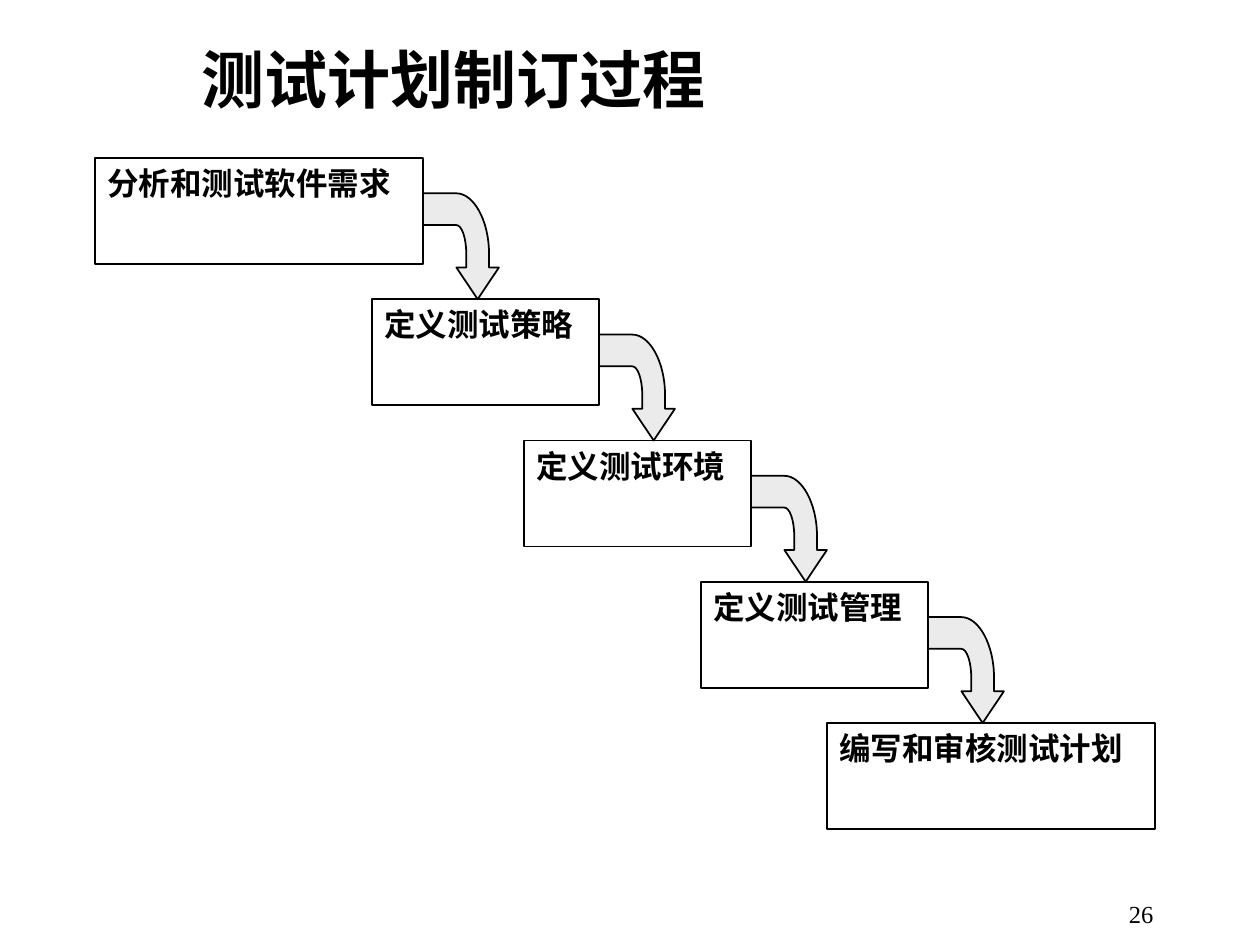
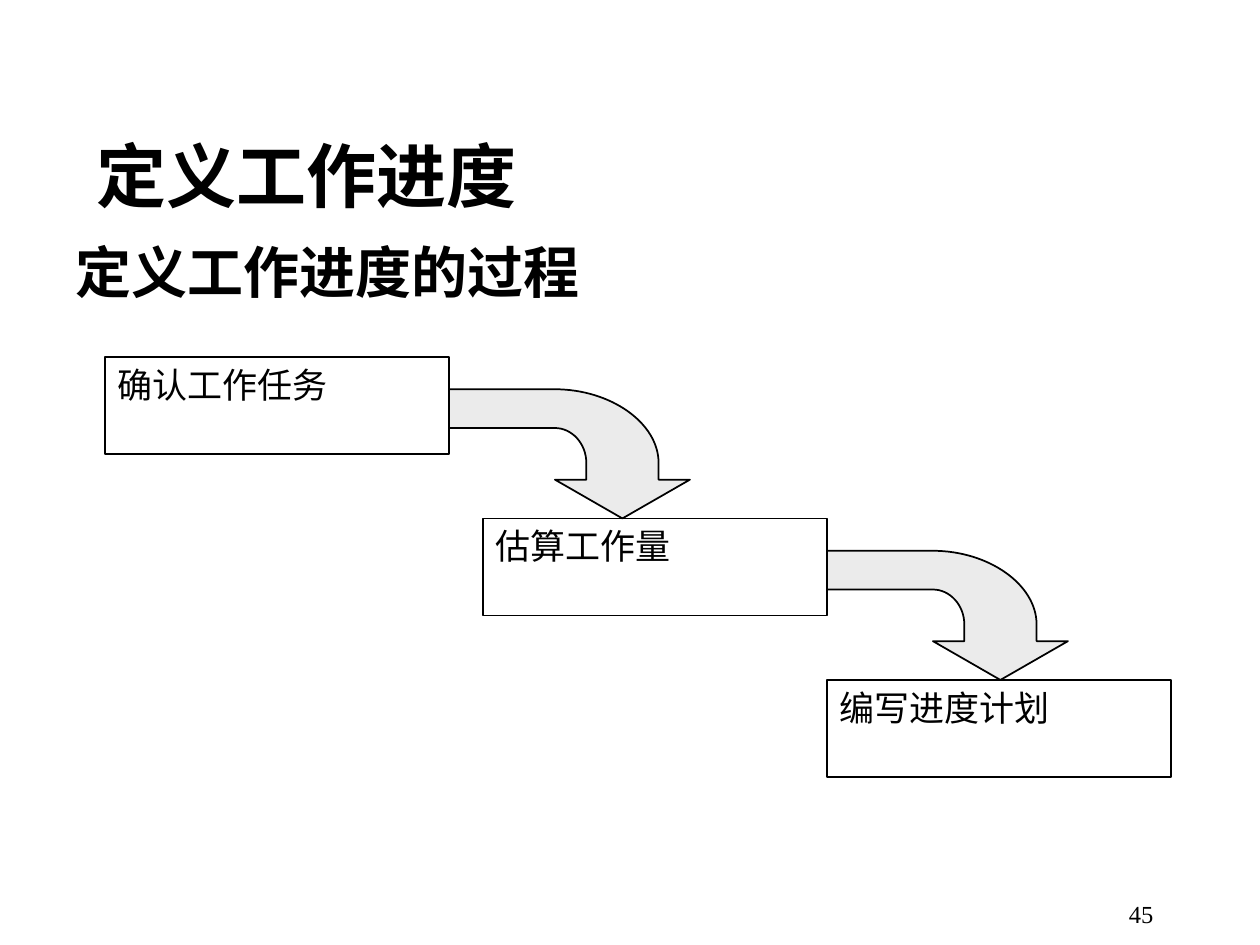
from dataclasses import dataclass

from lxml import etree
from pptx import Presentation
from pptx.dml.color import RGBColor
from pptx.enum.lang import MSO_LANGUAGE_ID
from pptx.enum.shapes import MSO_SHAPE
from pptx.enum.text import MSO_ANCHOR, MSO_AUTO_SIZE, PP_ALIGN
from pptx.oxml.ns import qn
from pptx.util import Pt

RECT = MSO_SHAPE.RECTANGLE
TOP, MIDDLE, BOTTOM = MSO_ANCHOR.TOP, MSO_ANCHOR.MIDDLE, MSO_ANCHOR.BOTTOM
LEFT, RIGHT = PP_ALIGN.LEFT, PP_ALIGN.RIGHT
NO_FIT = MSO_AUTO_SIZE.NONE
CHINESE = MSO_LANGUAGE_ID.SIMPLIFIED_CHINESE

PX = 914400 / 126  # EMU per px
SLIDE_W, SLIDE_H = 1260, 945
TITLE_ONLY, TITLE_AND_BODY = 5, 1


@dataclass(frozen=True)
class Theme:
    ink: RGBColor = RGBColor(0, 0, 0)
    paper: RGBColor = RGBColor(255, 255, 255)
    arrow: RGBColor = RGBColor(0xC0, 0xC0, 0xC0)
    arrow_alpha: int = 30
    line: float = 1
    serif: str = "Times New Roman"
    sans: str = "Arial"
    cjk: str = "Noto Sans CJK SC"
    body: str = "Cabin"
    number_size: int = 14


THEME = Theme()


def emu(*lengths):
    return [round(n * PX) for n in lengths]


def set_all(obj, **values):
    for name, value in values.items():
        setattr(obj, name, value)


def write(sp, runs, size, bold=False, align=LEFT, anchor=TOP):
    """Fill a shape with one paragraph of (text, font) runs."""
    tf = sp.text_frame
    set_all(tf, word_wrap=True, auto_size=NO_FIT, vertical_anchor=anchor)
    p = tf.paragraphs[0]
    set_all(p, alignment=align, space_before=Pt(0))
    for text, font in runs:
        r = p.add_run()
        r.text = text
        set_all(r.font, name=font, size=Pt(size), bold=bold, language_id=CHINESE)
        r.font.color.rgb = THEME.ink
    return p


def outline(sp, color):
    sp.shadow.inherit = False
    sp.fill.solid()
    sp.fill.fore_color.rgb = color
    sp.line.color.rgb = THEME.ink
    sp.line.width = Pt(THEME.line)


def place(sp, box):
    set_all(sp, **dict(zip(("left", "top", "width", "height"), emu(*box))))


def add_title(slide, text, box, size, anchor):
    sp = slide.shapes.title
    place(sp, box)
    write(sp, [(text, THEME.serif)], size, bold=True, anchor=anchor)


def add_heading(slide, text, box, size):
    sp = slide.placeholders[1]
    place(sp, box)
    p = write(sp, [(text, THEME.body)], size, bold=True)
    pPr = p._p.get_or_add_pPr()
    pPr.set("marL", "0")
    pPr.set("indent", "0")
    etree.SubElement(pPr, qn("a:buNone"))


def add_page_number(slide, number):
    sp = slide.shapes.add_textbox(*emu(904, 872, 262, 63))
    write(sp, [(number, THEME.serif)], THEME.number_size, align=RIGHT, anchor=BOTTOM)


def add_step(slide, runs, box, size, bold):
    sp = slide.shapes.add_shape(RECT, *emu(*box))
    outline(sp, THEME.paper)
    write(sp, runs, size, bold)


# Bent arrow as shares of its box: tail at the left, head pointing down
ARROW = [
    (0, 0), (0.44, 0),
    (0.67, 0), (0.87, 0.26), (0.87, 0.57),  # outer bend
    (0.87, 0.7), (1, 0.7), (0.72, 1), (0.44, 0.7), (0.57, 0.7), (0.57, 0.57),
    (0.57, 0.42), (0.51, 0.3), (0.44, 0.3),  # inner bend
    (0, 0.3),
]
BENDS = (2, 11)  # where the three points of each curve start


def curve(segments):
    """Turn three straight segments into one cubic curve."""
    first = segments[0]
    first.tag = qn("a:cubicBezTo")
    for segment in segments[1:]:
        first.append(segment[0])
        segment.getparent().remove(segment)


def add_bent_arrow(slide, left, top, width, height):
    points = [emu(left + x * width, top + y * height) for x, y in ARROW]
    builder = slide.shapes.build_freeform(*points[0])
    builder.add_line_segments(points[1:], close=True)
    sp = builder.convert_to_shape()
    segments = list(next(sp._element.iter(qn("a:path"))))
    for start in BENDS:
        curve(segments[start:start + 3])
    outline(sp, THEME.arrow)
    color = next(sp._element.spPr.iter(qn("a:srgbClr")))
    etree.SubElement(color, qn("a:alpha"), val=str(THEME.arrow_alpha * 1000))


def add_staircase(slide, steps, first_top, last_top, height, arrow_width, size, bold=False):
    """Steps are (left, width, runs), evenly spaced down and joined by arrows."""
    pitch = (last_top - first_top) / (len(steps) - 1)
    drop = height / 3
    for i, (left, width, runs) in enumerate(steps):
        add_step(slide, runs, (left, first_top + i * pitch, width, height), size, bold)
    for i, (left, width, _) in enumerate(steps[:-1]):
        top = first_top + i * pitch + drop
        add_bent_arrow(slide, left + width, top, arrow_width, pitch - drop)


def main():
    prs = Presentation()
    prs.slide_width, prs.slide_height = emu(SLIDE_W, SLIDE_H)
    sans, serif, cjk = THEME.sans, THEME.serif, THEME.cjk

    # Test planning process
    slide = prs.slides.add_slide(prs.slide_layouts[TITLE_ONLY])
    add_title(slide, "测试计划制订过程", (189, 0, 1071, 157), 36, MIDDLE)
    wide, narrow = 328, 227
    steps = [
        (95, wide, [("分析和测试软件需求", sans)]),
        (372, narrow, [("定义测试策略", sans)]),
        (524, narrow, [("定义测试", cjk), ("环境", serif)]),
        (701, narrow, [("定义测试管理", sans)]),
        (827, wide, [("编写和审核测试计划", sans)]),
    ]
    add_staircase(slide, steps, 158, 723, 106, 76, 18, bold=True)
    add_page_number(slide, "26")

    # Work schedule process
    slide = prs.slides.add_slide(prs.slide_layouts[TITLE_AND_BODY])
    add_title(slide, "定义工作进度", (84, 126, 1061, 97), 40, TOP)
    add_heading(slide, "定义工作进度的过程", (63, 231, 1124, 84), 32)
    width = 344
    steps = [
        (105, width, [("确认工作任", cjk), ("务", serif)]),
        (483, width, [("估算工作量", sans)]),
        (827, width, [("编写进度计划", sans)]),
    ]
    add_staircase(slide, steps, 357, 680, 97, 241, 20)
    add_page_number(slide, "45")

    prs.save("out.pptx")


if __name__ == "__main__":
    main()
